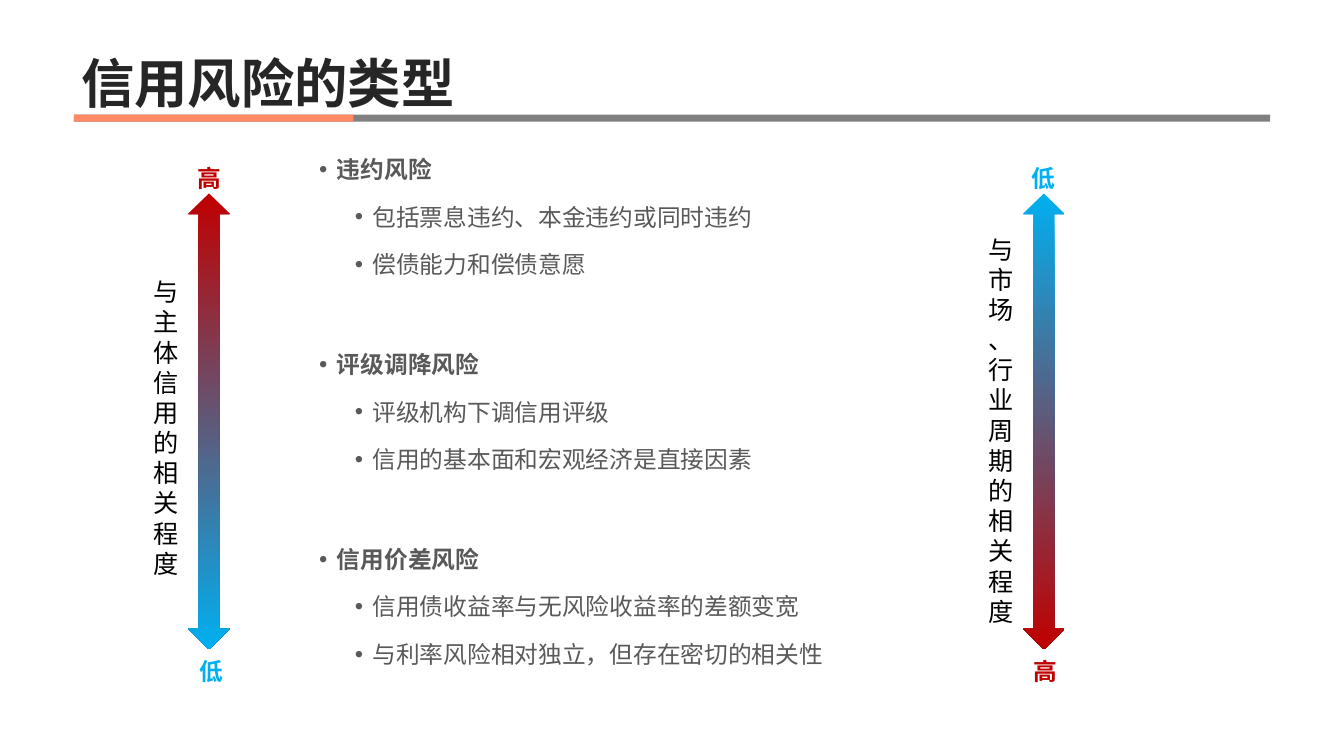
from lxml import etree
from pptx import Presentation
from pptx.dml.color import RGBColor as RGB
from pptx.enum.shapes import MSO_SHAPE as SHAPE
from pptx.enum.text import MSO_ANCHOR as ANCHOR
from pptx.oxml.ns import qn
from pptx.util import Inches, Pt

W, H = Inches(18.9), Inches(10.63)
CJK, LATIN = "Noto Sans CJK SC", "Arial"
COLORS = {
    "title": "262626", "body": "595959", "label": "000000",
    "bar": "808080", "accent": "FF8A65", "high": "C00000", "low": "00B0F0",
}
WORDS = {"high": "高", "low": "低"}
RISKS = [
    ("违约风险", ["包括票息违约、本金违约或同时违约", "偿债能力和偿债意愿"]),
    ("评级调降风险", ["评级机构下调信用评级", "信用的基本面和宏观经济是直接因素"]),
    ("信用价差风险", ["信用债收益率与无风险收益率的差额变宽", "与利率风险相对独立，但存在密切的相关性"]),
]


def rgb(name):
    return RGB.from_string(COLORS[name])


def place(x, y, w, h):
    return [int(v) for v in (W * x / 100, H * y / 100, W * w / 100, H * h / 100)]


def write(p, text, size=24, color="body", bold=False, font=CJK, spacing=None, before=0):
    p.line_spacing = spacing
    p.space_before = Pt(before)
    r = p.add_run()
    r.text = text
    r.font.size, r.font.bold, r.font.name = Pt(size), bold, font
    r.font.color.rgb = rgb(color)
    ea = etree.SubElement(r.font._element, qn("a:ea"))
    ea.set("typeface", CJK)


def add_bullet(p, indent):
    pPr = p._p.get_or_add_pPr()
    pPr.set("marL", str(Inches(indent)))
    pPr.set("indent", str(-Inches(0.25)))
    etree.SubElement(pPr, qn("a:buFont")).set("typeface", LATIN)
    etree.SubElement(pPr, qn("a:buChar")).set("char", "•")


def add_box(s, box, anchor=ANCHOR.TOP, inset=None):
    tf = s.shapes.add_textbox(*place(*box)).text_frame
    tf.word_wrap = True
    tf.vertical_anchor = anchor
    if inset is not None:
        tf.margin_left = tf.margin_right = tf.margin_top = tf.margin_bottom = inset
    return tf


def add_shape(s, kind, box):
    sp = s.shapes.add_shape(kind, *place(*box))
    sp.shadow.inherit = False
    sp.line.fill.background()
    return sp


def add_bar(s, width, color):
    sp = add_shape(s, SHAPE.RECTANGLE, (5.5, 15.15, width, 0.94))
    sp.fill.solid()
    sp.fill.fore_color.rgb = rgb(color)


def add_title(s, text):
    sp = s.shapes.title
    sp.left, sp.top, sp.width, sp.height = place(5.5, 0, 89, 15.15)
    tf = sp.text_frame
    tf.vertical_anchor = ANCHOR.BOTTOM
    tf.margin_bottom = 0
    p = tf.paragraphs[0]
    write(p, text, size=54, color="title", bold=True, spacing=0.9)
    p._p.get_or_add_pPr().set("algn", "l")


def add_risks(s):
    tf = add_box(s, (23.23, 18.16, 44.5, 81))
    line = Pt(43.1)
    p = tf.paragraphs[0]
    for i, (name, details) in enumerate(RISKS):
        if i:
            p = tf.add_paragraph()
        write(p, name, bold=True, spacing=line, before=58.1 if i else 0)
        add_bullet(p, 0.25)
        for detail in details:
            p = tf.add_paragraph()
            p.level = 1
            write(p, detail, spacing=line, before=5)
            add_bullet(p, 0.75)


def add_scale(s, x, ends, label, label_top, label_height):
    sp = add_shape(s, SHAPE.UP_DOWN_ARROW, (x, 25.59, 3.07, 60.3))
    sp.fill.gradient()
    sp.fill.gradient_angle = 270
    for stop, end in zip(sp.fill.gradient_stops, ends):
        stop.color.rgb = rgb(end)
    for end, dx, y in zip(ends, (0.64, 0.79), (20.49, 85.69)):
        tf = add_box(s, (x + dx, y, 2.5, 5), anchor=ANCHOR.BOTTOM, inset=0)
        write(tf.paragraphs[0], WORDS[end], color=end, bold=True, font=LATIN)
    tf = add_box(s, (x - 3.12, label_top, 2.54, label_height))
    write(tf.paragraphs[0], label, size=25.5, color="label", font=LATIN, spacing=Pt(30.55))


def main():
    prs = Presentation()
    prs.slide_width, prs.slide_height = W, H
    s = prs.slides.add_slide(prs.slide_layouts[5])
    add_bar(s, 89, "bar")
    add_bar(s, 20.8, "accent")
    add_title(s, "信用风险的类型")
    add_risks(s)
    add_scale(s, 14.02, ("high", "low"), "与主体信用的相关程度", 36.12, 41.3)
    add_scale(s, 76.14, ("low", "high"), "与市场、行业周期的相关程度", 30.48, 53.4)
    prs.save("out.pptx")


if __name__ == "__main__":
    main()
